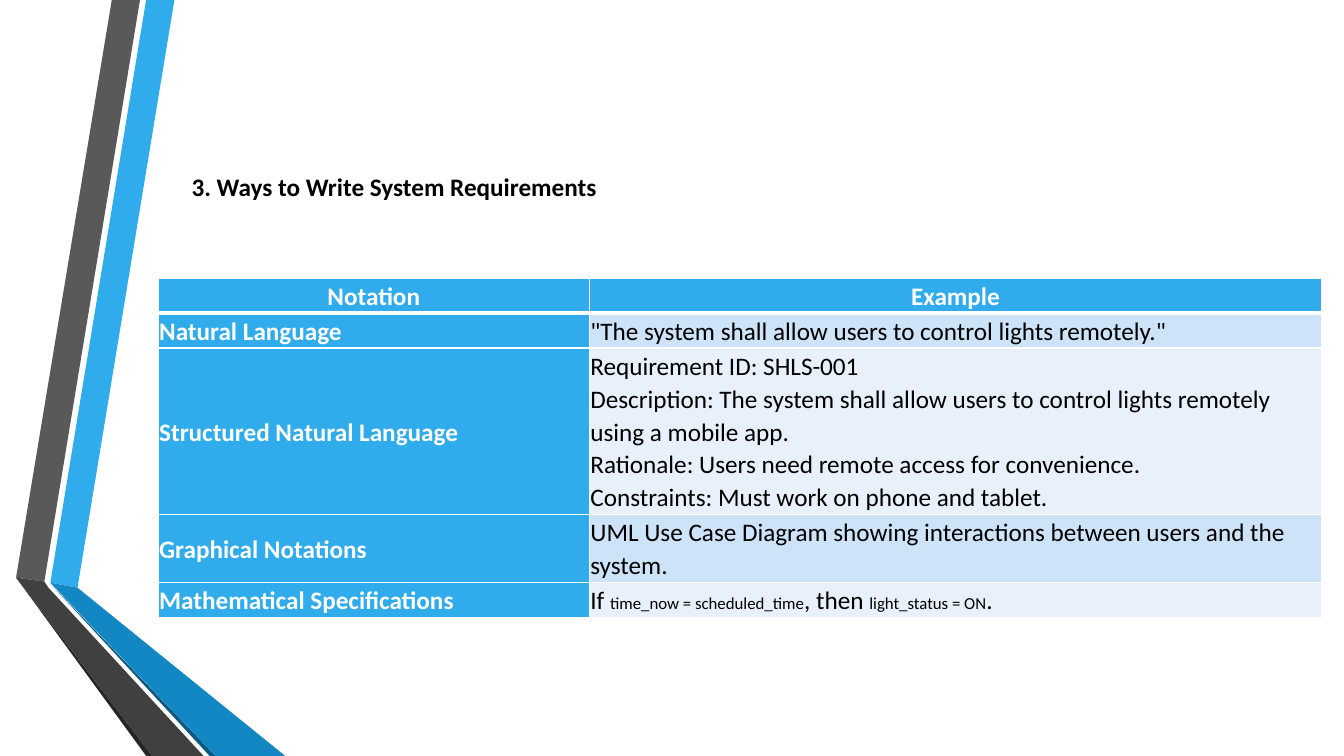
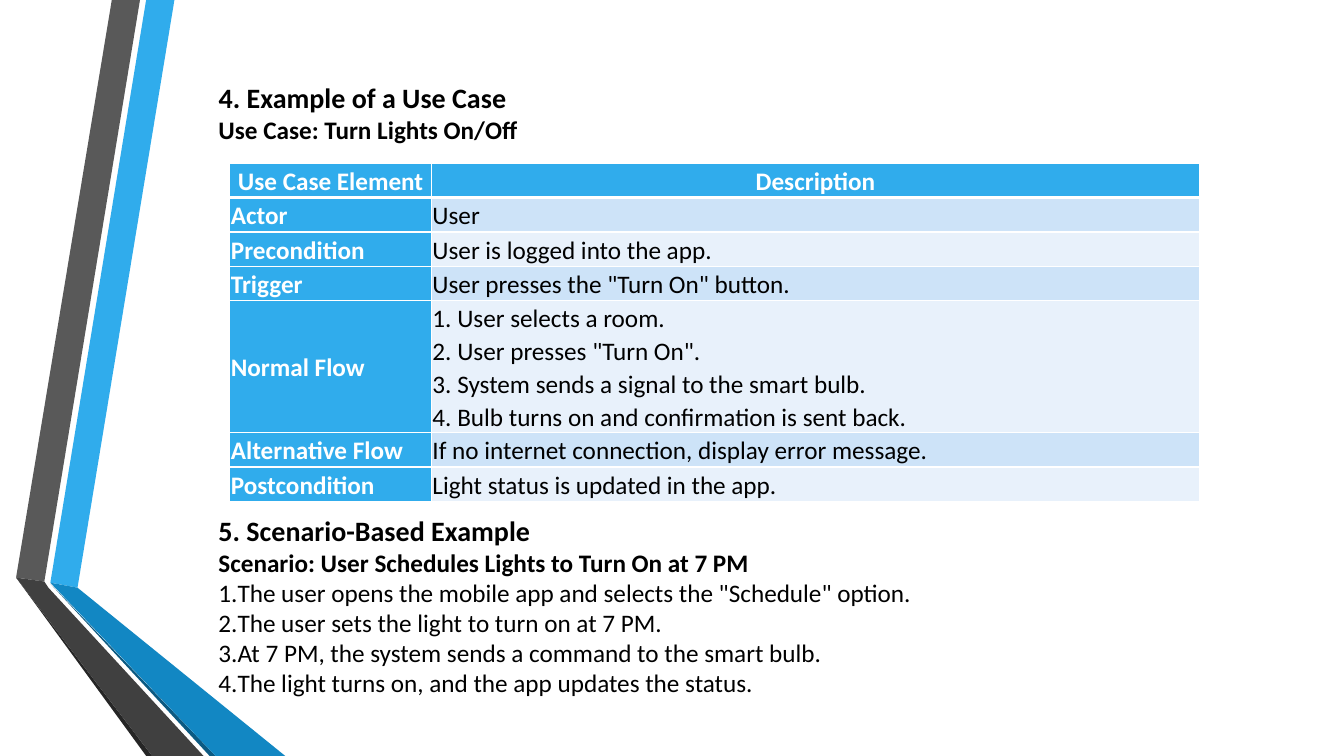
import pptx
import pptx.dml.color
import pptx.enum.text
import pptx.oxml
import pptx.oxml.ns
import pptx.util

Pt = pptx.util.Pt
RGBColor = pptx.dml.color.RGBColor
PP_ALIGN = pptx.enum.text.PP_ALIGN
MSO_ANCHOR = pptx.enum.text.MSO_ANCHOR

FONT = "Calibri"
BLACK = RGBColor(0x00, 0x00, 0x00)
WHITE = RGBColor(0xFF, 0xFF, 0xFF)
BLUE = RGBColor(0x30, 0xAC, 0xEC)
DEEP_BLUE = RGBColor(0x12, 0x87, 0xC3)
NAVY = RGBColor(0x0C, 0x5A, 0x82)
GREY = RGBColor(0x59, 0x59, 0x59)
CHARCOAL = RGBColor(0x40, 0x40, 0x40)
NEAR_BLACK = RGBColor(0x26, 0x26, 0x26)
BANDS = [RGBColor(0xCD, 0xE3, 0xF8), RGBColor(0xE8, 0xF1, 0xFB)]

BODY_SIZE = 18
HEADING_SIZE = 20
CODE_SIZE = 12
CELL_LINE = 23.3
CELL_PADDING = 1.1

RIBBONS = [
    (BLUE, [(36, 416.2), (55.4, 419.8), (124.6, 0), (104.4, 0)]),
    (GREY, [(100, 0), (79.9, 0), (11.5, 412.6), (31.7, 415.4)]),
    (NEAR_BLACK, [(11.5, 412.6), (104.4, 540), (108.7, 540)]),
    (NAVY, [(36, 416.9), (149.8, 540), (154.1, 540)]),
    (DEEP_BLUE, [(36, 416.2), (154.1, 540), (203.8, 540), (55.4, 419.8)]),
    (CHARCOAL, [(145.4, 540), (34.6, 419.8), (31.7, 415.4), (11.5, 412.6), (108.7, 540)]),
]

NOTATIONS = [
    ("Notation", "Example", 1),
    ("Natural Language", '"The system shall allow users to control lights remotely."', 1),
    (
        "Structured Natural Language",
        "Requirement ID: SHLS-001\v"
        "Description: The system shall allow users to control lights remotely using a mobile app.\v"
        "Rationale: Users need remote access for convenience.\v"
        "Constraints: Must work on phone and tablet.",
        5,
    ),
    (
        "Graphical Notations",
        "UML Use Case Diagram showing interactions between users and the system.",
        2,
    ),
    (
        "Mathematical Specifications",
        [
            ("If ", BODY_SIZE),
            ("time_now = scheduled_time", CODE_SIZE),
            (", then ", BODY_SIZE),
            ("light_status = ON", CODE_SIZE),
            (".", BODY_SIZE),
        ],
        1,
    ),
]

USE_CASE = [
    ("Use Case Element", "Description", 1),
    ("Actor", "User", 1),
    ("Precondition", "User is logged into the app.", 1),
    ("Trigger", 'User presses the "Turn On" button.', 1),
    (
        "Normal Flow",
        "1. User selects a room.\v"
        '2. User presses "Turn On".\v'
        "3. System sends a signal to the smart bulb.\v"
        "4. Bulb turns on and confirmation is sent back.",
        4,
    ),
    ("Alternative Flow", "If no internet connection, display error message.", 1),
    ("Postcondition", "Light status is updated in the app.", 1),
]

SCENARIO_STEPS = [
    'The user opens the mobile app and selects the "Schedule" option.',
    "The user sets the light to turn on at 7 PM.",
    "At 7 PM, the system sends a command to the smart bulb.",
    "The light turns on, and the app updates the status.",
]


def set_font(font, size=BODY_SIZE, color=BLACK, bold=False):
    font.name = FONT
    font.size = Pt(size)
    font.bold = bold
    font.color.rgb = color


def place_ribbons(slide, layout):
    for index, (color, points) in enumerate(RIBBONS):
        corners = [(Pt(x), Pt(y)) for x, y in points]
        builder = slide.shapes.build_freeform(*corners[0])
        builder.add_line_segments(corners[1:])
        ribbon = builder.convert_to_shape()
        ribbon.shadow.inherit = False
        ribbon.fill.solid()
        ribbon.fill.fore_color.rgb = color
        ribbon.line.fill.background()
        layout.shapes.element.insert(2 + index, ribbon.element)


def set_title(slide, text, left, top, width, size):
    title = slide.shapes.title
    title.left, title.top = Pt(left), Pt(top)
    title.width, title.height = Pt(width), Pt(size + 11)
    frame = title.text_frame
    frame.text = text
    frame.auto_size = pptx.enum.text.MSO_AUTO_SIZE.NONE
    frame.vertical_anchor = MSO_ANCHOR.TOP
    paragraph = frame.paragraphs[0]
    paragraph.alignment = PP_ALIGN.LEFT
    set_font(paragraph.font, size, bold=True)


def add_text(slide, left, top, width, height, lines):
    frame = slide.shapes.add_textbox(Pt(left), Pt(top), Pt(width), Pt(height)).text_frame
    frame.word_wrap = True
    for index, (text, size, bold, numbered) in enumerate(lines):
        paragraph = frame.paragraphs[0] if index == 0 else frame.add_paragraph()
        paragraph.text = text
        if numbered:
            paragraph.line_spacing = Pt(21.5)
            properties = paragraph._p.get_or_add_pPr()
            properties.set("marL", "0")
            properties.set("indent", "0")
            properties.append(pptx.oxml.parse_xml(
                f'<a:buAutoNum {pptx.oxml.ns.nsdecls("a")} type="arabicPeriod"/>'))
        set_font(paragraph.font, size, bold=bold)


def set_borders(cell, top, bottom):
    properties = cell._tc.get_or_add_tcPr()
    widths = {"lnL": 1, "lnR": 1, "lnT": top, "lnB": bottom}
    for index, (side, width) in enumerate(widths.items()):
        properties.insert(index, pptx.oxml.parse_xml(
            f'<a:{side} {pptx.oxml.ns.nsdecls("a")} w="{Pt(width)}">'
            f'<a:solidFill><a:srgbClr val="{WHITE}"/></a:solidFill></a:{side}>'))


def fill_cell(cell, content, row_index, is_label):
    is_header = row_index == 0
    emphasized = is_header or is_label
    cell.margin_left = cell.margin_right = Pt(0.72)
    cell.margin_top = cell.margin_bottom = Pt(0.72)
    cell.vertical_anchor = MSO_ANCHOR.MIDDLE
    cell.fill.solid()
    cell.fill.fore_color.rgb = BLUE if emphasized else BANDS[(row_index - 1) % 2]
    set_borders(cell, 3 if row_index == 1 else 1, 3 if is_header else 1)
    paragraph = cell.text_frame.paragraphs[0]
    paragraph.alignment = PP_ALIGN.CENTER if is_header else PP_ALIGN.LEFT
    paragraph.line_spacing = 1.07
    set_font(paragraph.font, color=WHITE if emphasized else BLACK, bold=emphasized)
    if isinstance(content, str):
        paragraph.text = content
    else:
        for text, size in content:
            run = paragraph.add_run()
            run.text = text
            run.font.size = Pt(size)


def add_grid(slide, rows, left, top, column_widths):
    heights = [lines * CELL_LINE + CELL_PADDING for _, _, lines in rows]
    table = slide.shapes.add_table(
        len(rows), len(column_widths), Pt(left), Pt(top),
        Pt(sum(column_widths)), Pt(sum(heights))).table
    for column, width in zip(table.columns, column_widths):
        column.width = Pt(width)
    for row_index, (label, description, _) in enumerate(rows):
        table.rows[row_index].height = Pt(heights[row_index])
        fill_cell(table.cell(row_index, 0), label, row_index, True)
        fill_cell(table.cell(row_index, 1), description, row_index, False)


def main():
    presentation = pptx.Presentation()
    presentation.slide_width, presentation.slide_height = Pt(960), Pt(540)
    layout = presentation.slide_layouts[5]

    notation_slide = presentation.slides.add_slide(layout)
    place_ribbons(notation_slide, layout)
    set_title(notation_slide, "3. Ways to Write System Requirements", 129.6, 118.8, 320, BODY_SIZE)
    add_grid(notation_slide, NOTATIONS, 113, 198.7, [308, 523])

    use_case_slide = presentation.slides.add_slide(layout)
    set_title(use_case_slide, "4. Example of a Use Case", 149, 54, 798, HEADING_SIZE)
    add_text(use_case_slide, 149, 78.4, 798, 29,
             [("Use Case: Turn Lights On/Off", BODY_SIZE, True, False)])
    add_grid(use_case_slide, USE_CASE, 164.2, 116.6, [144, 548.6])
    scenario = [
        ("5. Scenario-Based Example", HEADING_SIZE, True, False),
        ("Scenario: User Schedules Lights to Turn On at 7 PM", BODY_SIZE, True, False),
    ]
    scenario += [(step, BODY_SIZE, False, True) for step in SCENARIO_STEPS]
    add_text(use_case_slide, 149, 363.5, 798, 140, scenario)

    presentation.save("out.pptx")


if __name__ == "__main__":
    main()
